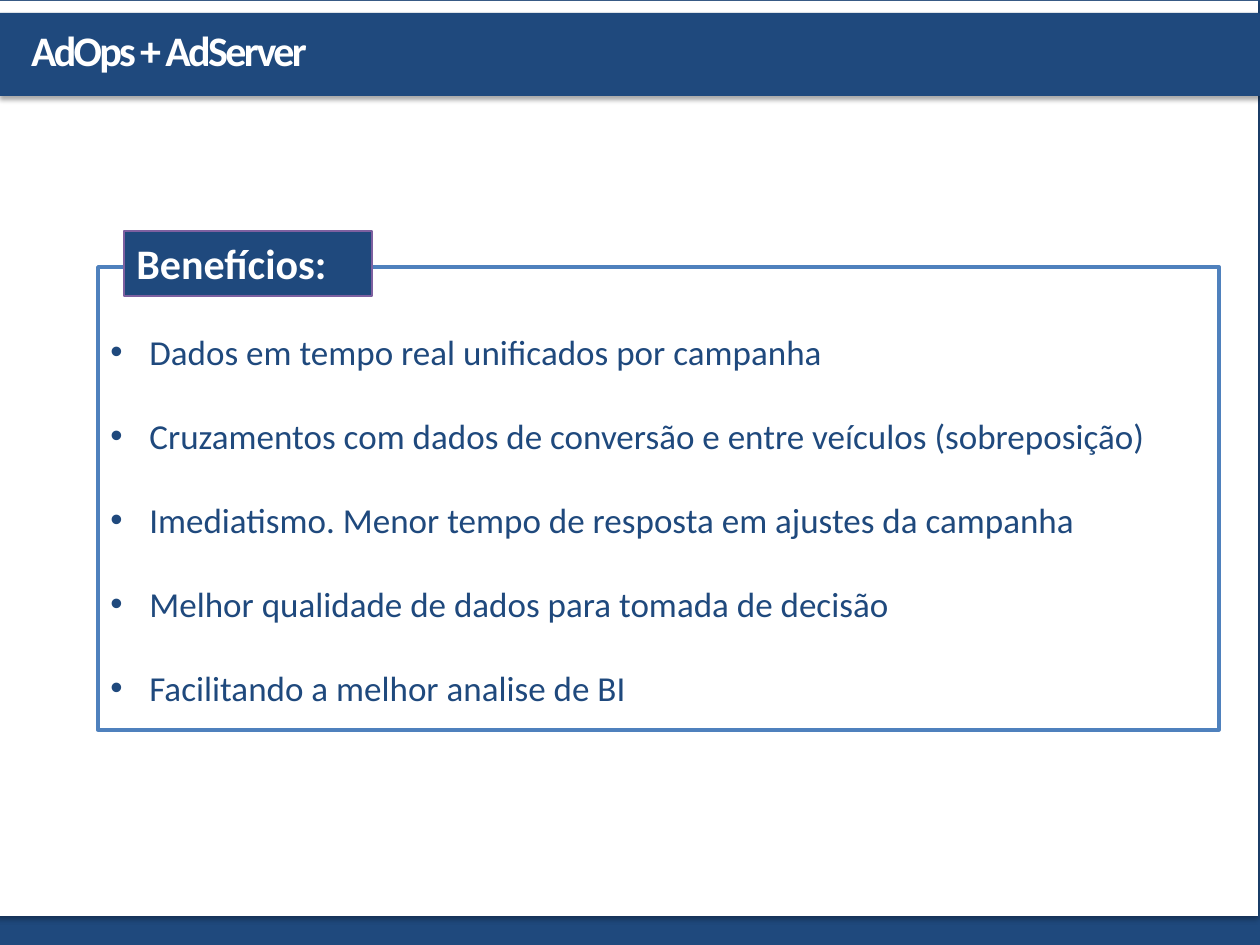
from lxml import etree
from pptx import Presentation
from pptx.dml.color import RGBColor
from pptx.enum.shapes import MSO_SHAPE
from pptx.enum.text import MSO_ANCHOR, PP_ALIGN
from pptx.oxml.ns import qn
from pptx.util import Emu, Pt

RECTANGLE = MSO_SHAPE.RECTANGLE
TOP, MIDDLE = MSO_ANCHOR.TOP, MSO_ANCHOR.MIDDLE
LEFT = PP_ALIGN.LEFT
EMU_PER_PX = 914400 / 126
TITLE_ONLY = 5
FONT = "Calibri"
NAVY, WHITE, BLUE, PURPLE = "1F497D", "FFFFFF", "4F81BD", "7D60A0"
BENEFITS = [
    "Dados em tempo real unificados por campanha",
    "Cruzamentos com dados de conversão e entre veículos (sobreposição)",
    "Imediatismo. Menor tempo de resposta em ajustes da campanha",
    "Melhor qualidade de dados para tomada de decisão",
    "Facilitando a melhor analise de BI",
]


def px(length):
    """Turn pixels into EMU."""
    return Emu(round(length * EMU_PER_PX))


def paint(color_format, color):
    """Give a fill a solid colour."""
    color_format.solid()
    color_format.fore_color.rgb = RGBColor.from_string(color)


def add_shadow(shape):
    """Give a shape a soft shadow straight below it."""
    effects = shape.element.spPr.find(qn("a:effectLst"))
    shadow = etree.SubElement(effects, qn("a:outerShdw"), blurRad=str(Pt(3.1)),
                              dist=str(Pt(1.8)), dir="5400000", rotWithShape="0")
    color = etree.SubElement(shadow, qn("a:srgbClr"), val="000000")
    etree.SubElement(color, qn("a:alpha"), val="35000")


def add_box(slide, left, top, width, height, fill, line=None, line_width=1):
    """Add a filled rectangle, outlined when a line colour is given."""
    box = slide.shapes.add_shape(RECTANGLE, px(left), px(top), px(width), px(height))
    box.shadow.inherit = False
    paint(box.fill, fill)
    if line:
        paint(box.line.fill, line)
        box.line.width = Pt(line_width)
    else:
        box.line.fill.background()
    return box


def add_bullet(para, indent):
    """Give a paragraph a round bullet with a hanging indent."""
    properties = para._p.get_or_add_pPr()
    properties.set("marL", str(px(indent)))
    properties.set("indent", str(-px(indent)))
    etree.SubElement(properties, qn("a:buFont"), typeface="Arial")
    etree.SubElement(properties, qn("a:buChar"), char="•")


def write(shape, lines, size, color, bold=False, anchor=TOP, spacing=None,
          tracking=None, bullet_indent=None):
    """Write left-aligned paragraphs into a shape."""
    frame = shape.text_frame
    frame.word_wrap = True
    frame.vertical_anchor = anchor
    for index, line in enumerate(lines):
        para = frame.add_paragraph() if index else frame.paragraphs[0]
        para.alignment = LEFT
        if spacing:
            para.line_spacing = spacing
        if bullet_indent:
            add_bullet(para, bullet_indent)
        span = para.add_run()
        span.text = line
        span.font.name = FONT
        span.font.size = Pt(size)
        span.font.bold = bold
        paint(span.font.fill, color)
        if tracking:
            span.font._element.set("spc", str(round(tracking * 100)))


def place_title(slide, band, text):
    """Set the title placeholder on top of the header band."""
    title = slide.shapes.title
    title.left, title.top, title.width, title.height = px(11), px(14), px(1260), px(71)
    frame = title.text_frame
    frame.margin_left = frame.margin_right = px(20)
    frame.margin_top = frame.margin_bottom = px(10)
    write(title, [text], size=24, color=WHITE, bold=True, tracking=-1.5)
    band.element.addnext(title.element)


def main():
    """Build the slide and save it."""
    deck = Presentation()
    deck.slide_width, deck.slide_height = px(1260), px(945)
    page = deck.slides.add_slide(deck.slide_layouts[TITLE_ONLY])
    paint(page.background.fill, NAVY)

    panel = add_box(page, -3, 1, 1261, 915, WHITE)
    band = add_box(page, 0, 13, 1260, 83, NAVY)
    for shape in (panel, band):
        add_shadow(shape)
    place_title(page, band, "AdOps + AdServer")

    benefits = add_box(page, 98, 267, 1121, 463, WHITE, line=BLUE, line_width=2)
    write(benefits, BENEFITS, size=20, color=NAVY, anchor=MIDDLE, spacing=2.0,
          bullet_indent=39)
    label = add_box(page, 124, 231, 248, 65, NAVY, line=PURPLE, line_width=0.75)
    write(label, ["Benefícios:"], size=24, color=WHITE, bold=True)

    deck.save("out.pptx")


if __name__ == "__main__":
    main()
